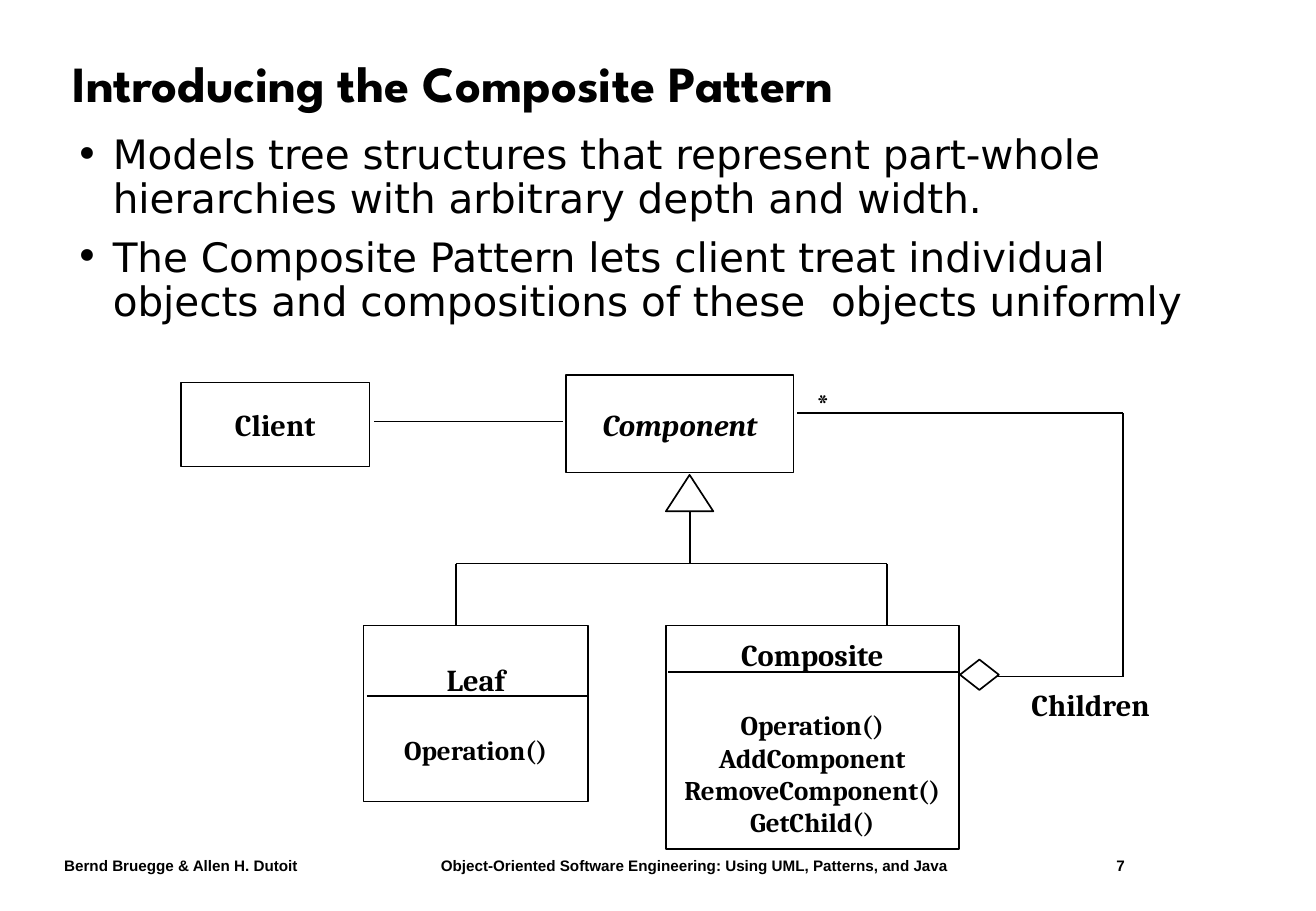
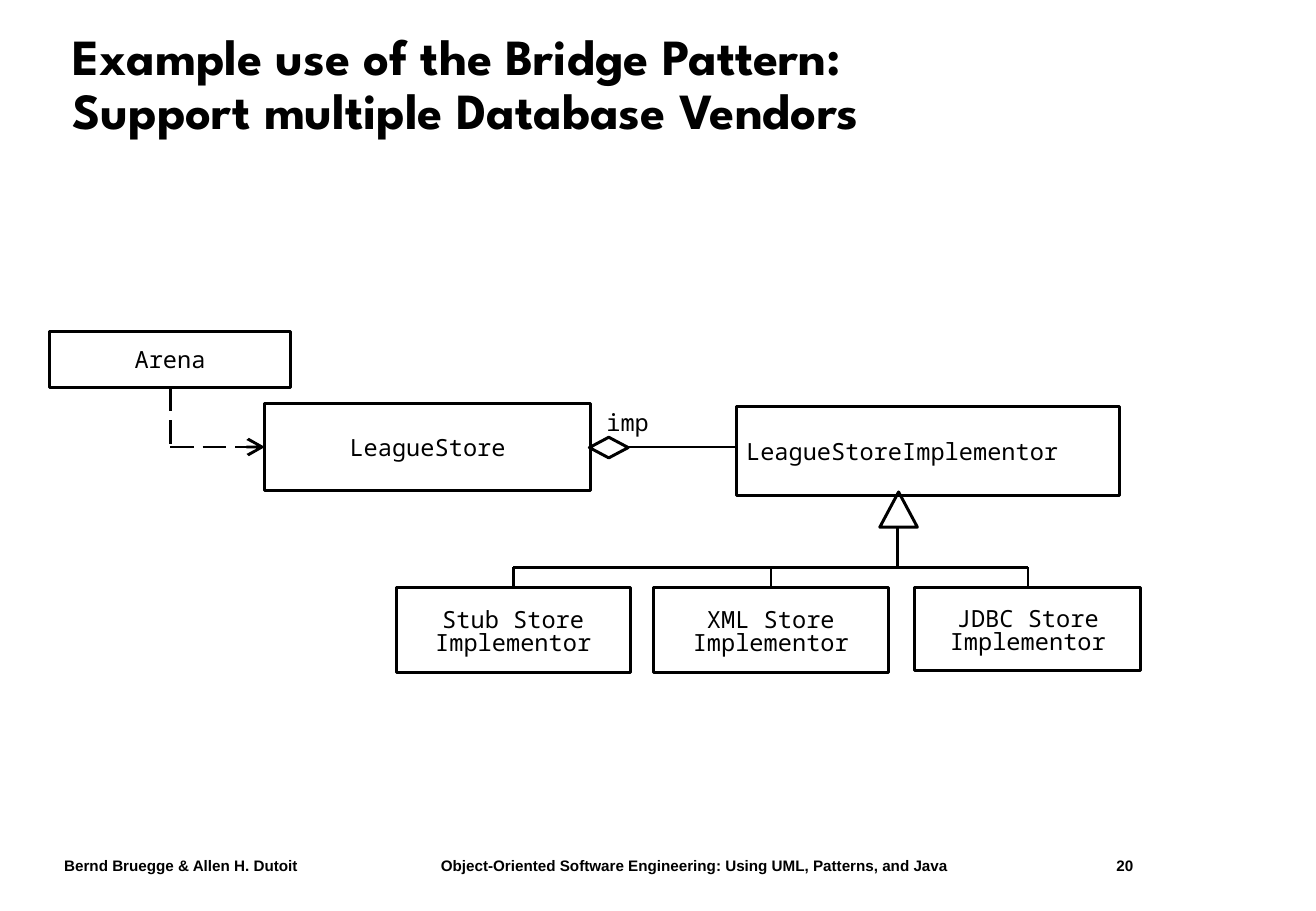
from dataclasses import dataclass
from typing import NamedTuple

from lxml.etree import SubElement
from pptx import Presentation
from pptx.dml.color import RGBColor
from pptx.enum.dml import MSO_LINE
from pptx.enum.shapes import MSO_CONNECTOR, MSO_SHAPE
from pptx.enum.text import MSO_ANCHOR, PP_ALIGN
from pptx.oxml.ns import qn
from pptx.util import Inches, Pt

COLORS = {"ink": "000000", "paper": "FFFFFF"}
TITLE_FONT = "League Spartan"
BODY_FONT = "DejaVu Sans"
FOOTER_FONT = "Arial"
CLASS_FONT = "Cambria"
CODE_FONT = "Noto Sans Mono"
THIN, THICK = 1, 1.75
TOP, LEFT, BOTTOM, RIGHT = range(4)
FOOTER = ("Bernd Bruegge & Allen H. Dutoit",
          "Object-Oriented Software Engineering: Using UML, Patterns, and Java")
FOOTER_TABS = (3.1, 8.66)


class Area(NamedTuple):
    left: float
    top: float
    width: float
    height: float


class Segment(NamedTuple):
    x1: float
    y1: float
    x2: float
    y2: float


@dataclass
class ClassBox:
    """A UML class with a name and, below it, its operations."""
    name: str
    area: Area
    operations: tuple[str, ...] = ()
    italic: bool = False


@dataclass
class CodeBox:
    """A class whose name is set in the code font."""
    lines: tuple[str, ...]
    area: Area
    align: PP_ALIGN = PP_ALIGN.CENTER


def color(name: str) -> RGBColor:
    return RGBColor.from_string(COLORS[name])


def write_text(frame, lines, *, font, size, bold=False, italic=False,
               align=PP_ALIGN.LEFT, anchor=MSO_ANCHOR.TOP, wrap=True,
               inset=(0.1, 0.05, 0.1, 0.05), spacing=None, gap=0,
               bullet=None, tabs=()) -> None:
    """Fill a text frame with one paragraph per line."""
    frame.word_wrap = wrap
    frame.vertical_anchor = anchor
    (frame.margin_left, frame.margin_top,
     frame.margin_right, frame.margin_bottom) = map(Inches, inset)
    for index, line in enumerate(lines):
        para = frame.paragraphs[0] if index == 0 else frame.add_paragraph()
        para.text = line
        para.alignment = align
        if spacing is not None:
            para.line_spacing = spacing
        if index and gap:
            para.space_before = Pt(gap)
        properties = para._p.get_or_add_pPr()
        if bullet:
            properties.set("marL", str(Inches(0.31)))
            properties.set("indent", str(-Inches(0.31)))
            SubElement(properties, qn("a:buFont"), typeface=font)
            SubElement(properties, qn("a:buChar"), char=bullet)
        if tabs:
            stops = SubElement(properties, qn("a:tabLst"))
            for stop in tabs:
                SubElement(stops, qn("a:tab"), pos=str(Inches(stop)), algn="l")
        for span in para.runs:
            format_span(span, font, size, bold, italic)


def format_span(span, font: str, size: float, bold: bool, italic: bool) -> None:
    span.font.name = font
    span.font.size = Pt(size)
    span.font.bold = bold
    span.font.italic = italic
    span.font.color.rgb = color("ink")


def add_text(page, area: Area, lines, **style) -> None:
    box = page.shapes.add_textbox(*map(Inches, area))
    write_text(box.text_frame, lines, **style)


def add_outline(page, kind, area: Area, weight: float, filled: bool = True):
    shape = page.shapes.add_shape(kind, *map(Inches, area))
    shape.shadow.inherit = False
    if filled:
        shape.fill.solid()
        shape.fill.fore_color.rgb = color("paper")
    else:
        shape.fill.background()
    shape.line.color.rgb = color("ink")
    shape.line.width = Pt(weight)
    return shape


def add_line(page, segment: Segment, weight: float, *, start=None, end=None,
             dashed: bool = False, arrow: bool = False) -> None:
    """Draw a straight line; start and end are (shape, side) joints."""
    line = page.shapes.add_connector(MSO_CONNECTOR.STRAIGHT, *map(Inches, segment))
    if start:
        line.begin_connect(*start)
    if end:
        line.end_connect(*end)
    line.line.color.rgb = color("ink")
    line.line.width = Pt(weight)
    if dashed:
        line.line.dash_style = MSO_LINE.LONG_DASH
    if arrow:
        SubElement(line.line._get_or_add_ln(), qn("a:tailEnd"),
                   type="arrow", w="lg", len="lg")
    SubElement(line._element.spPr, qn("a:effectLst"))


def add_page(deck, title: str, number: int):
    """Add a blank page with the shared title and footer."""
    page = deck.slides.add_slide(deck.slide_layouts[6])
    add_text(page, Area(0.43, 7, 9.93, 0.25), ["\t".join((*FOOTER, str(number)))],
             font=FOOTER_FONT, size=9, bold=True, tabs=FOOTER_TABS)
    add_text(page, Area(0.5, 0.24, 9.66, 0.94), [title], font=TITLE_FONT,
             size=30, bold=True, anchor=MSO_ANCHOR.MIDDLE, spacing=0.9)
    return page


def add_class(page, item: ClassBox) -> None:
    shape = add_outline(page, MSO_SHAPE.RECTANGLE, item.area, THIN)
    frame = shape.text_frame
    write_text(frame, [item.name, *item.operations], font=CLASS_FONT, size=18,
               bold=True, italic=item.italic, align=PP_ALIGN.CENTER,
               anchor=MSO_ANCHOR.MIDDLE, wrap=False)
    for index, para in enumerate(frame.paragraphs[1:]):
        para.runs[0].font.size = Pt(16)
        if index == 0:
            para.space_before = Pt(21.5)


def add_code_class(page, item: CodeBox):
    shape = add_outline(page, MSO_SHAPE.RECTANGLE, item.area, THICK, filled=False)
    stacked = len(item.lines) > 1
    write_text(shape.text_frame, item.lines, font=CODE_FONT, size=14,
               align=item.align, anchor=MSO_ANCHOR.MIDDLE, wrap=False,
               inset=(0.08, 0.05 if stacked else 0, 0.08, 0),
               spacing=Pt(13.7) if stacked else None)
    return shape


def build_composite(deck) -> None:
    page = add_page(deck, "Introducing the Composite Pattern", 7)
    add_text(page, Area(0.52, 1.06, 9.86, 1.8),
             ["Models tree structures that represent part-whole hierarchies "
              "with arbitrary depth and width.",
              "The Composite Pattern lets client treat individual objects and "
              "compositions of these  objects uniformly"],
             font=BODY_FONT, size=24, spacing=0.9, gap=9, bullet="•")

    # Classes
    for item in (
        ClassBox("Client", Area(1.49, 3.15, 1.55, 0.69)),
        ClassBox("Component", Area(4.66, 3.09, 1.87, 0.8), italic=True),
        ClassBox("Leaf", Area(2.99, 5.15, 1.85, 1.45), ("Operation()",)),
        ClassBox("Composite", Area(5.48, 5.15, 2.41, 1.84),
                 ("Operation()", "AddComponent", "RemoveComponent()", "GetChild()")),
    ):
        add_class(page, item)

    # Relations and compartment rules
    bus, leaf_x, composite_x, loop_x = 4.64, 3.75, 7.3, 9.24
    for segment in (
        Segment(3.08, 3.47, 4.63, 3.47),
        Segment(5.68, 4.21, 5.68, bus),
        Segment(leaf_x, bus, composite_x, bus),
        Segment(leaf_x, bus, leaf_x, 5.15),
        Segment(composite_x, bus, composite_x, 5.15),
        Segment(8.19, 5.57, loop_x, 5.57),
        Segment(loop_x, 5.57, loop_x, 3.4),
        Segment(loop_x, 3.4, 6.56, 3.4),
        Segment(3.02, 5.73, 4.83, 5.73),
        Segment(5.5, 5.53, 7.89, 5.53),
    ):
        add_line(page, segment, THIN)
    add_outline(page, MSO_SHAPE.ISOSCELES_TRIANGLE, Area(5.48, 3.91, 0.39, 0.3), THIN)
    add_outline(page, MSO_SHAPE.DIAMOND, Area(7.9, 5.43, 0.32, 0.25), THIN)

    # Role labels
    for label, area in (("Children", Area(8.39, 5.6, 1.23, 0.4)),
                        ("*", Area(6.62, 3.12, 0.31, 0.4))):
        add_text(page, area, [label], font=CLASS_FONT, size=18, bold=True, wrap=False)


def build_bridge(deck) -> None:
    page = add_page(
        deck, "Example use of the Bridge Pattern:\vSupport multiple Database Vendors", 20)

    # Classes
    arena, store, _, *children = [add_code_class(page, item) for item in (
        CodeBox(("Arena",), Area(0.41, 2.73, 1.98, 0.46)),
        CodeBox(("LeagueStore",), Area(2.18, 3.32, 2.68, 0.72)),
        CodeBox(("LeagueStoreImplementor",), Area(6.06, 3.35, 3.15, 0.73), PP_ALIGN.LEFT),
        CodeBox(("Stub Store", "Implementor"), Area(3.26, 4.84, 1.93, 0.7)),
        CodeBox(("XML Store", "Implementor"), Area(5.38, 4.84, 1.93, 0.7)),
        CodeBox(("JDBC Store", "Implementor"), Area(7.53, 4.84, 1.86, 0.68)),
    )]

    # Inheritance tree
    bus = 4.67
    centers = [(child.left + child.width / 2) / Inches(1) for child in children]
    add_line(page, Segment(centers[0], bus, centers[-1], bus), THICK)
    for child, center in zip(children, centers):
        add_line(page, Segment(center, bus, center, 4.84), THICK, end=(child, TOP))
    add_line(page, Segment(7.39, bus, 7.39, 4.34), THICK)
    add_outline(page, MSO_SHAPE.ISOSCELES_TRIANGLE, Area(7.24, 4.05, 0.31, 0.29),
                THICK, filled=False)

    # Aggregation, level with the middle of LeagueStore
    add_line(page, Segment(4.86, 3.68, 6.06, 3.68), THICK, start=(store, RIGHT))
    add_outline(page, MSO_SHAPE.DIAMOND, Area(4.85, 3.6, 0.32, 0.17), THICK)
    add_text(page, Area(4.99, 3.36, 0.6, 0.23), ["imp"], font=CODE_FONT, size=14,
             inset=(0, 0, 0, 0))

    # Dependency
    add_line(page, Segment(1.4, 3.19, 1.4, 3.68), THICK,
             start=(arena, BOTTOM), dashed=True)
    add_line(page, Segment(1.4, 3.68, 2.18, 3.68), THICK,
             end=(store, LEFT), dashed=True, arrow=True)


def main() -> None:
    deck = Presentation()
    deck.slide_width, deck.slide_height = Inches(10.83), Inches(7.5)
    build_composite(deck)
    build_bridge(deck)
    deck.save("out.pptx")


if __name__ == "__main__":
    main()
